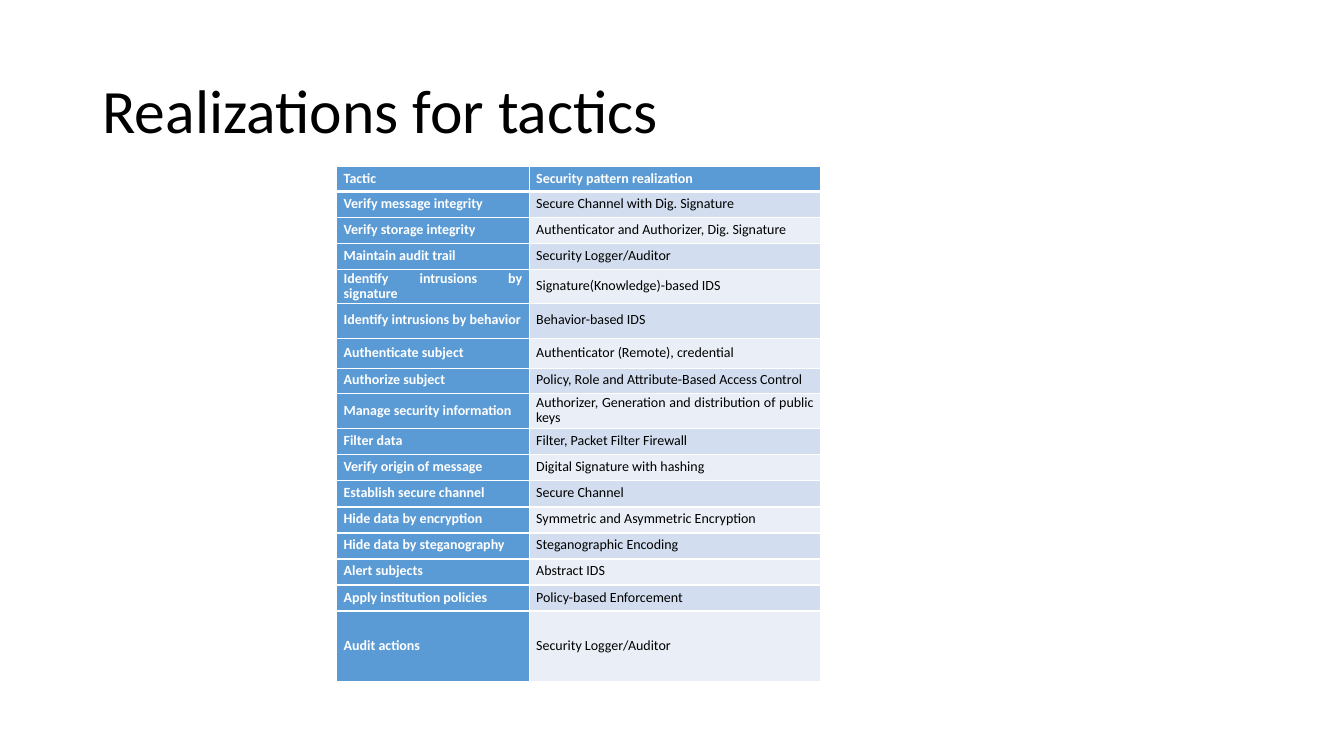
import dataclasses

import pptx
import pptx.dml.color
import pptx.enum.text
import pptx.oxml.ns
import pptx.oxml.xmlchemy
import pptx.util
from lxml import etree

RGB = pptx.dml.color.RGBColor
WHITE = RGB(0xFF, 0xFF, 0xFF)
BLACK = RGB(0, 0, 0)
BLUE = RGB(0x5B, 0x9B, 0xD5)
BANDS = (RGB(0xEA, 0xEF, 0xF7), RGB(0xD2, 0xDE, 0xEF))

FONT = "Calibri"
WIDE, HIGH = pptx.util.Inches(13.33), pptx.util.Inches(7.5)
COLS, ROWS = 160, 90
WIDTHS = (22.92, 34.68)


@dataclasses.dataclass(frozen=True)
class Entry:
    tactic: str
    pattern: str
    rows: float = 3.1


ENTRIES = (
    Entry("Tactic", "Security pattern realization", 3),
    Entry("Verify message integrity", "Secure Channel with Dig. Signature"),
    Entry("Verify storage integrity", "Authenticator and Authorizer, Dig. Signature"),
    Entry("Maintain audit trail", "Security Logger/Auditor"),
    Entry("Identify intrusions by signature", "Signature(Knowledge)-based IDS", 4.08),
    Entry("Identify intrusions by behavior", "Behavior-based IDS", 4.08),
    Entry("Authenticate subject", "Authenticator (Remote), credential", 3.6),
    Entry("Authorize subject", "Policy, Role and Attribute-Based Access Control", 3),
    Entry("Manage security information",
          "Authorizer, Generation and distribution of public keys", 4.2),
    Entry("Filter data", "Filter, Packet Filter Firewall"),
    Entry("Verify origin of message", "Digital Signature with hashing"),
    Entry("Establish secure channel", "Secure Channel"),
    Entry("Hide data by encryption", "Symmetric and Asymmetric Encryption"),
    Entry("Hide data by steganography", "Steganographic Encoding"),
    Entry("Alert subjects", "Abstract IDS"),
    Entry("Apply institution policies", "Policy-based Enforcement"),
    Entry("Audit actions", "Security Logger/Auditor", 8.4),
)


def across(cols: float) -> int:
    return round(WIDE * cols / COLS)


def down(rows: float) -> int:
    return round(HIGH * rows / ROWS)


def style(par, size: float, color: RGB, bold: bool) -> None:
    for run in par.runs:
        run.font.name = FONT
        run.font.size = pptx.util.Pt(size)
        run.font.bold = bold
        run.font.color.rgb = color


def edge(cell, side: str, points: float) -> None:
    qn = pptx.oxml.ns.qn
    line = etree.SubElement(cell._tc.get_or_add_tcPr(), qn(f"a:ln{side}"),
                            w=str(pptx.util.Pt(points)))
    fill = etree.SubElement(line, qn("a:solidFill"))
    etree.SubElement(fill, qn("a:srgbClr"), val=str(WHITE))


def fill_cell(cell, text: str, row: int, col: int) -> None:
    head = row == 0
    strong = head or col == 0
    cell.margin_left = cell.margin_right = pptx.util.Inches(0.07)
    cell.margin_top = cell.margin_bottom = 0
    cell.vertical_anchor = pptx.enum.text.MSO_ANCHOR.MIDDLE
    for side in "LRTB":
        thick = (side == "B" and head) or (side == "T" and row == 1)
        edge(cell, side, 3 if thick else 1)
    cell.fill.solid()
    cell.fill.fore_color.rgb = BLUE if strong else BANDS[row % 2]
    cell.text_frame.text = text
    par = cell.text_frame.paragraphs[0]
    par.alignment = pptx.enum.text.PP_ALIGN.JUSTIFY
    par.line_spacing = pptx.util.Pt(12 if head else 11)
    style(par, 10, WHITE if strong else BLACK, strong)


def add_title(slide, text: str) -> None:
    title = slide.shapes.title
    title.left, title.top = across(11), down(4.8)
    title.width, title.height = across(138), down(17.4)
    frame = title.text_frame
    frame.text = text
    frame.auto_size = pptx.enum.text.MSO_AUTO_SIZE.NONE
    frame.vertical_anchor = pptx.enum.text.MSO_ANCHOR.MIDDLE
    par = frame.paragraphs[0]
    par.alignment = pptx.enum.text.PP_ALIGN.LEFT
    par.line_spacing = 0.9
    style(par, 44, BLACK, False)


def add_grid(slide) -> None:
    total = sum(entry.rows for entry in ENTRIES)
    table = slide.shapes.add_table(
        len(ENTRIES), len(WIDTHS), across(40.08), down(19.8),
        across(sum(WIDTHS)), down(total)).table
    for col, width in enumerate(WIDTHS):
        table.columns[col].width = across(width)
    for row, entry in enumerate(ENTRIES):
        table.rows[row].height = down(entry.rows)
        for col, text in enumerate((entry.tactic, entry.pattern)):
            fill_cell(table.cell(row, col), text, row, col)


def main() -> None:
    deck = pptx.Presentation()
    deck.slide_width, deck.slide_height = WIDE, HIGH
    slide = deck.slides.add_slide(deck.slide_layouts.get_by_name("Title Only"))
    add_title(slide, "Realizations for tactics")
    add_grid(slide)
    deck.save("out.pptx")


if __name__ == "__main__":
    main()
